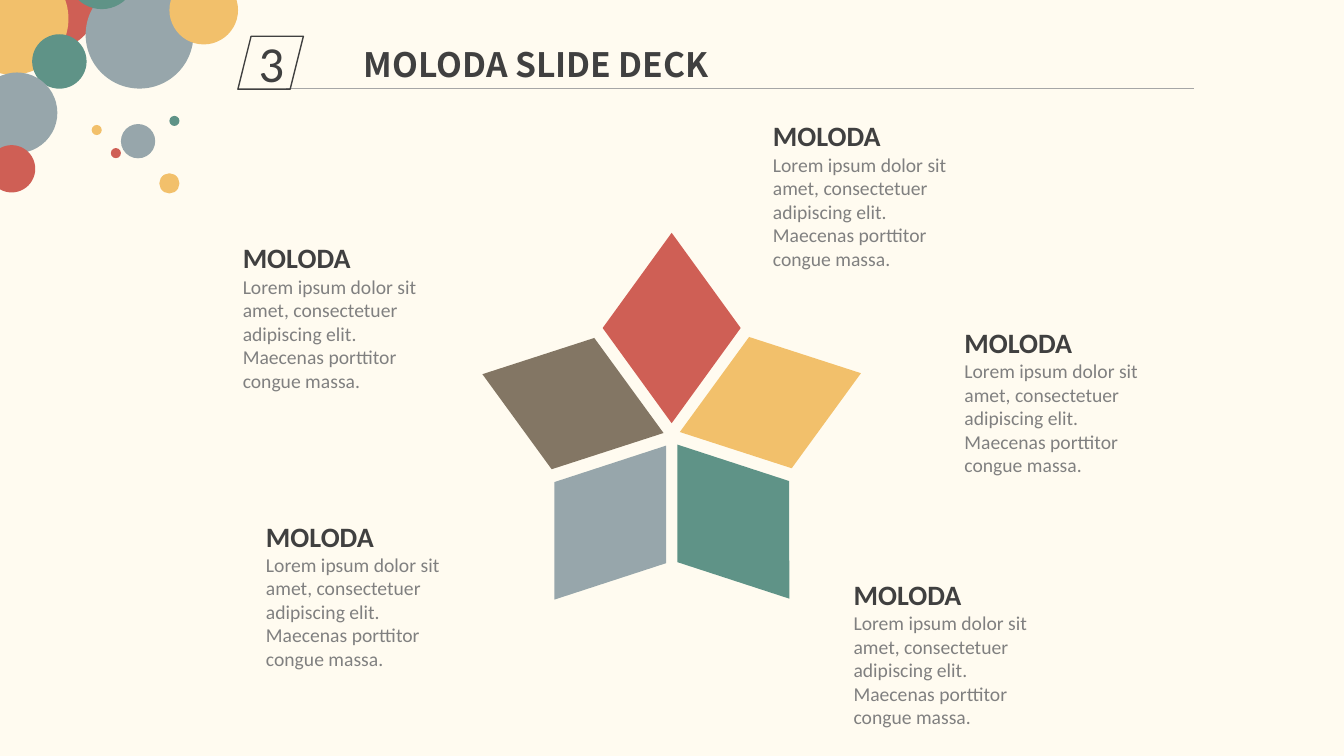
"""Build a slide with a five-petal star, five text cards and corner dots."""
from pptx import Presentation
from pptx.dml.color import RGBColor
from pptx.enum.shapes import MSO_CONNECTOR as Wire, MSO_SHAPE as Form
from pptx.enum.text import MSO_ANCHOR as Anchor, MSO_AUTO_SIZE as Fit, PP_ALIGN as Align
from pptx.oxml.ns import qn
from pptx.util import Pt
from lxml.etree import SubElement

RED, GOLD, TEAL, GREY, BROWN = "CF5F55", "F2C06B", "5F9387", "97A6AB", "837664"
DARK, MID, RULE, CREAM = "404040", "808080", "A6A6A6", "FFFBF0"

HEAD = {"name": "Noto Sans CJK SC", "size": Pt(24), "bold": True}
NUM = {"name": "Calibri", "size": Pt(36), "bold": False}
NAME = {"name": "Calibri", "size": Pt(20), "bold": True}
BODY = {"name": "Calibri", "size": Pt(14), "bold": False}
GROW = {"word_wrap": True, "auto_size": Fit.SHAPE_TO_FIT_TEXT,
        "vertical_anchor": Anchor.TOP}


def hue(code):
    return RGBColor.from_string(code)


def write(para, text, tint, style, align=Align.LEFT):
    run = para.add_run()
    run.text = text
    para.alignment = align
    for key, value in style.items():
        setattr(run.font, key, value)
    run.font.color.rgb = hue(tint)


deck = Presentation()
deck.slide_width, deck.slide_height = Pt(960), Pt(540)
slide = deck.slides.add_slide(deck.slide_layouts[5])
slide.background.fill.solid()
slide.background.fill.fore_color.rgb = hue(CREAM)
shapes = slide.shapes

title = shapes.title
title.left, title.top, title.width, title.height = map(Pt, (252.7, 27.4, 369.4, 36))
for key, value in GROW.items():
    setattr(title.text_frame, key, value)
write(title.text_frame.paragraphs[0], "MOLODA SLIDE DECK", DARK, HEAD)

petals = [
    (430.5, 166.3, RED),
    (501, 219.6, GOLD),
    (474.5, 304.6, TEAL),
    (386.6, 305.3, GREY),
    (360, 220.3, BROWN),
]
dots = [
    (2.9, -31.7, 67, RED),
    (-31, -26.6, 79.9, GOLD),
    (23, 24.5, 38.9, TEAL),
    (-16.6, 51.8, 57.6, GREY),
    (61.2, -13.7, 77, GREY),
    (48.2, -42.5, 49, TEAL),
    (-8.6, 103.7, 33.8, RED),
    (86.4, 88.6, 24.5, GREY),
    (79.2, 105.8, 7.2, RED),
    (65.5, 89.3, 7.2, GOLD),
    (121, 82.8, 7.2, TEAL),
    (113.8, 123.8, 14.4, GOLD),
    (121, -17.3, 49, GOLD),
]
parts = [(Form.DIAMOND, x, y, 98.6, 136, 72 * i, tint)
         for i, (x, y, tint) in enumerate(petals)]
parts += [(Form.OVAL, x, y, size, size, 0, tint) for x, y, size, tint in dots]
for form, x, y, wide, high, turn, tint in parts:
    part = shapes.add_shape(form, Pt(x), Pt(y), Pt(wide), Pt(high))
    part.rotation = turn
    part.shadow.inherit = False
    part.fill.solid()
    part.fill.fore_color.rgb = hue(tint)
    part.line.fill.background()

cards = [(166.3, 168.5), (182.9, 367.2), (602.6, 409), (681.8, 229), (545, 81.4)]
for x, y in cards:
    frame = shapes.add_textbox(Pt(x), Pt(y), Pt(152.6), Pt(116.6)).text_frame
    for key, value in GROW.items():
        setattr(frame, key, value)
    write(frame.paragraphs[0], "MOLODA", DARK, NAME)
    write(frame.add_paragraph(), "Lorem ipsum dolor sit amet, consectetuer "
          "adipiscing elit. Maecenas porttitor congue massa.", MID, BODY)

rule = shapes.add_connector(Wire.STRAIGHT, Pt(204.5), Pt(63.4), Pt(853.2), Pt(63.4))
rule.line.color.rgb = hue(RULE)
rule.line.width = Pt(0.5)
SubElement(rule.element.spPr, qn("a:effectLst"))

badge = shapes.add_shape(Form.PARALLELOGRAM, Pt(169.9), Pt(25.9), Pt(46.8), Pt(37.8))
badge.shadow.inherit = False
badge.fill.background()
badge.line.color.rgb = hue(DARK)
badge.line.width = Pt(1)
badge.text_frame.vertical_anchor = Anchor.MIDDLE
write(badge.text_frame.paragraphs[0], "3", DARK, NUM, Align.CENTER)

deck.save("out.pptx")
